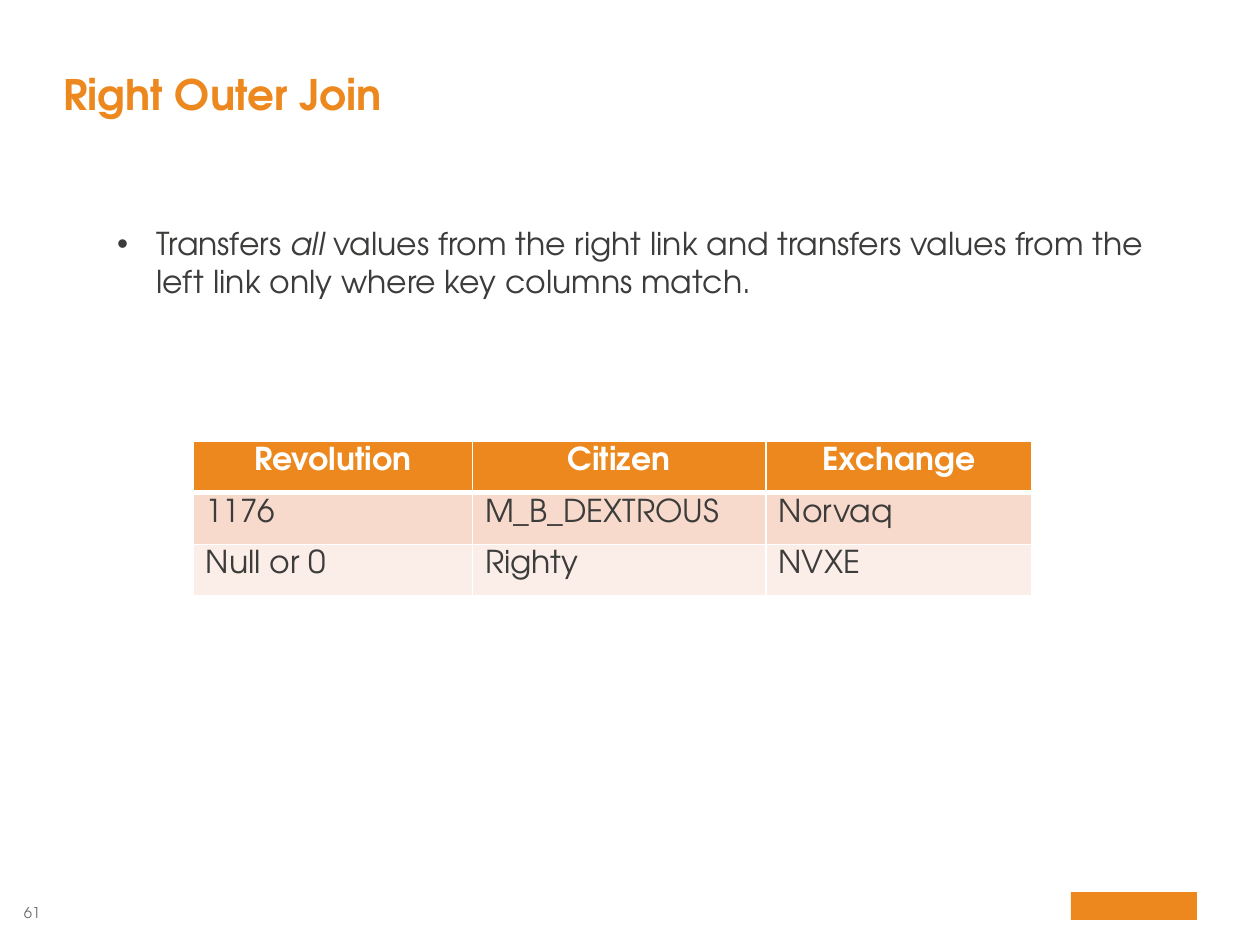
from dataclasses import dataclass

from lxml.etree import SubElement
from pptx import Presentation
from pptx.dml.color import RGBColor as Color
from pptx.enum.shapes import MSO_SHAPE as Shape
from pptx.enum.text import MSO_ANCHOR as Anchor, MSO_AUTO_SIZE as AutoSize, PP_ALIGN as Align
from pptx.oxml.ns import qn
from pptx.util import Inches, Pt


@dataclass(frozen=True)
class Theme:
    font: str = "TeX Gyre Adventor"
    accent: str = "EC881D"
    ink: str = "3C3C3B"
    muted: str = "6C6C6C"
    white: str = "FFFFFF"
    bands: tuple = ("F8DACD", "FBEDE8")
    title_size: float = 24
    body_size: float = 18
    number_size: float = 8.5


class SlideBuilder:
    def __init__(self, page, theme):
        self.page = page
        self.theme = theme

    def style(self, para, size, color, bold=False, align=Align.LEFT):
        para.alignment = align
        para.font.name = self.theme.font
        para.font.size = Pt(size)
        para.font.bold = bold
        para.font.color.rgb = Color.from_string(color)

    def place(self, box, left, top, width, height):
        box.left, box.top = Inches(left), Inches(top)
        box.width, box.height = Inches(width), Inches(height)

    def clear_margins(self, frame):
        frame.margin_left = frame.margin_right = 0
        frame.margin_top = frame.margin_bottom = 0

    def title(self, text, *area):
        box = self.page.shapes.title
        self.place(box, *area)
        frame = box.text_frame
        frame.text = text
        frame.auto_size = AutoSize.NONE
        frame.vertical_anchor = Anchor.BOTTOM
        self.clear_margins(frame)
        para = frame.paragraphs[0]
        para.line_spacing = 0.95
        self.style(para, self.theme.title_size, self.theme.accent, bold=True)

    def bullet(self, spans, *area):
        box = self.page.placeholders[1]
        self.place(box, *area)
        frame = box.text_frame
        frame.auto_size = AutoSize.NONE
        para = frame.paragraphs[0]
        para.space_before = Pt(0)
        self.style(para, self.theme.body_size, self.theme.ink)
        for text, italic in spans:
            span = para.add_run()
            span.text = text
            span.font.italic = italic
        properties = para._p.get_or_add_pPr()
        properties.set("marL", str(Inches(0.31)))
        properties.set("indent", str(Inches(-0.31)))

    def page_number(self, text, *area):
        box = self.page.shapes.add_textbox(*map(Inches, area))
        frame = box.text_frame
        frame.word_wrap = False
        self.clear_margins(frame)
        para = frame.paragraphs[0]
        para.text = text
        self.style(para, self.theme.number_size, self.theme.muted, align=Align.RIGHT)

    def block(self, *area):
        box = self.page.shapes.add_shape(Shape.RECTANGLE, *map(Inches, area))
        box.shadow.inherit = False
        box.fill.solid()
        box.fill.fore_color.rgb = Color.from_string(self.theme.accent)
        box.line.fill.background()

    def cell_borders(self, cell, **widths):
        properties = cell._tc.get_or_add_tcPr()
        for side in "LRTB":
            line = SubElement(properties, qn(f"a:ln{side}"), w=str(Pt(widths.get(side, 1))))
            fill = SubElement(line, qn("a:solidFill"))
            SubElement(fill, qn("a:srgbClr"), val=self.theme.white)

    def table(self, rows, left, top, column_widths, row_height):
        area = (left, top, sum(column_widths), row_height * len(rows))
        table = self.page.shapes.add_table(len(rows), len(column_widths), *map(Inches, area)).table
        for column, width in zip(table.columns, column_widths):
            column.width = Inches(width)
        for row_index, values in enumerate(rows):
            table.rows[row_index].height = Inches(row_height)
            header = row_index == 0
            fill = self.theme.accent if header else self.theme.bands[(row_index - 1) % 2]
            color = self.theme.white if header else self.theme.ink
            align = Align.CENTER if header else Align.LEFT
            edges = {0: {"B": 3}, 1: {"T": 3}}.get(row_index, {})
            for column_index, value in enumerate(values):
                cell = table.cell(row_index, column_index)
                cell.text = value
                self.cell_borders(cell, **edges)
                cell.fill.solid()
                cell.fill.fore_color.rgb = Color.from_string(fill)
                para = cell.text_frame.paragraphs[0]
                self.style(para, self.theme.body_size, color, header, align)


def main():
    deck = Presentation()
    deck.slide_width, deck.slide_height = Inches(10), Inches(7.5)
    page = deck.slides.add_slide(deck.slide_layouts[1])
    slide = SlideBuilder(page, Theme())

    slide.block(8.5, 7.08, 1, 0.22)
    slide.page_number("61", 0.17, 7.17, 0.15, 0.14)
    slide.title("Right Outer Join", 0.5, 0.18, 9, 0.77)
    slide.bullet(
        [
            ("Transfers ", False),
            ("all ", True),
            ("values from the right link and transfers values from the left link "
             "only where key columns match.", False),
        ],
        0.83, 1.73, 8.67, 0.71,
    )
    slide.table(
        [
            ("Revolution", "Citizen", "Exchange"),
            ("1176", "M_B_DEXTROUS", "Norvaq"),
            ("Null or 0", "Righty", "NVXE"),
        ],
        1.53, 3.5, (2.22, 2.33, 2.11), 0.41,
    )
    deck.save("out.pptx")


if __name__ == "__main__":
    main()
